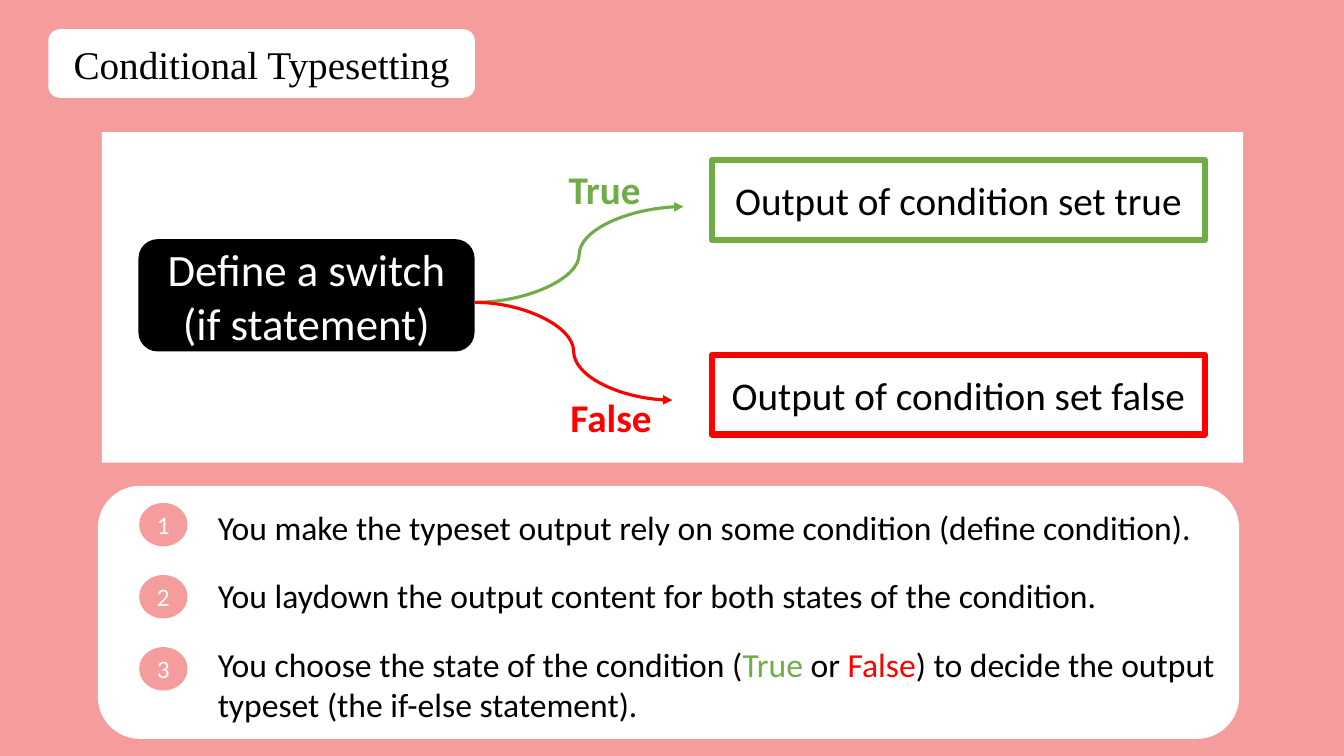
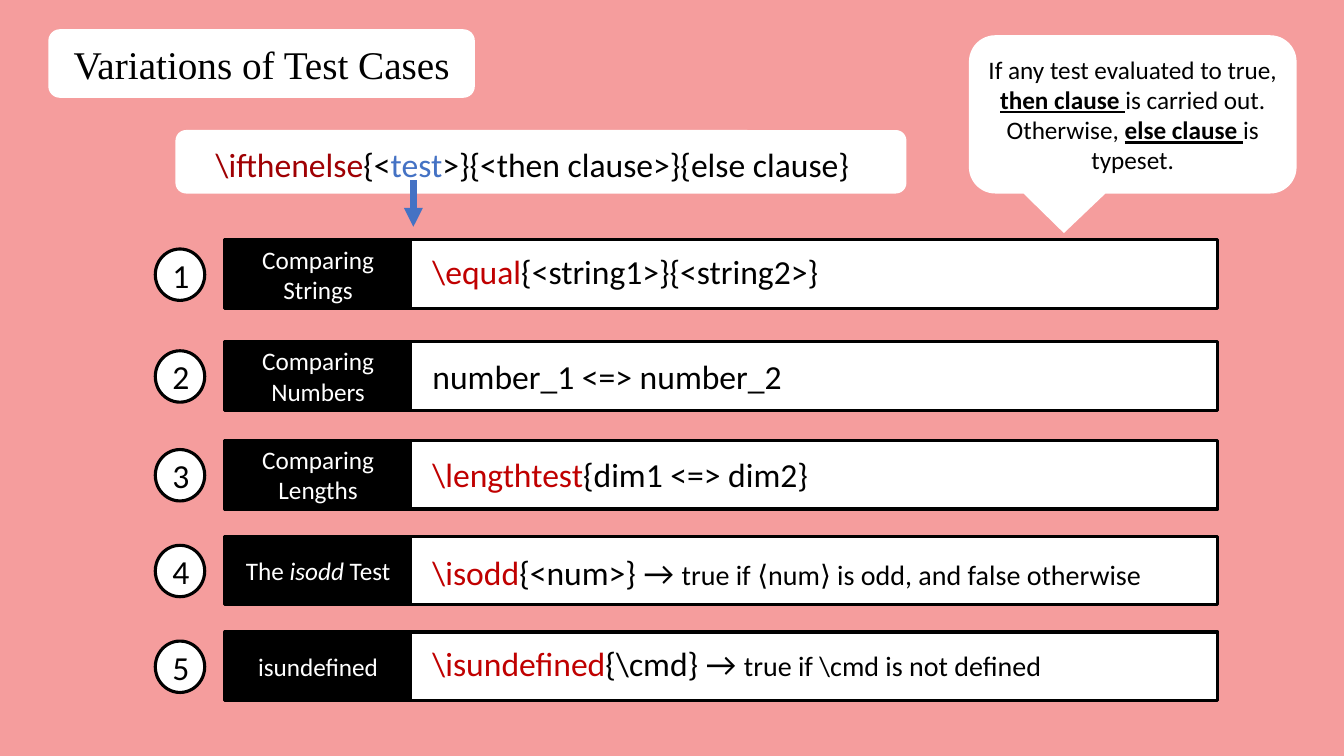
from lxml.etree import SubElement
from pptx import Presentation
from pptx.dml.color import RGBColor
from pptx.enum.shapes import MSO_CONNECTOR, MSO_SHAPE
from pptx.enum.text import MSO_ANCHOR, MSO_AUTO_SIZE, PP_ALIGN
from pptx.oxml.ns import qn
from pptx.util import Inches, Pt

PINK = RGBColor(0xF5, 0x9D, 0x9D)
WHITE = RGBColor(0xFF, 0xFF, 0xFF)
BLACK = RGBColor(0x00, 0x00, 0x00)
GREEN = RGBColor(0x70, 0xAD, 0x47)
RED = RGBColor(0xFF, 0x00, 0x00)
BLUE = RGBColor(0x44, 0x72, 0xC4)
MAROON = RGBColor(0x9F, 0x00, 0x03)
CRIMSON = RGBColor(0xC0, 0x00, 0x00)

TITLE_AREA = (0.48, 0.29, 4.23, 0.68)
TITLE_LOOK = {"name": "Times New Roman", "size": Pt(28), "color": BLACK}
BODY_LOOK = {"name": "Calibri", "size": Pt(24), "color": BLACK}
BRANCH_LOOK = {**BODY_LOOK, "size": Pt(28)}
SWITCH_LOOK = {**BODY_LOOK, "size": Pt(32), "color": WHITE}
NOTE_LOOK = {**BODY_LOOK, "size": Pt(18)}
LABEL_LOOK = {**NOTE_LOOK, "color": WHITE}
COMMAND = {"color": CRIMSON}
REMARK = {"size": Pt(20)}
CLAUSE = {"bold": True, "underline": True}

STEPS = [
    [("You make the typeset output rely on some condition (define condition).", {})],
    [("You laydown the output content for both states of the condition.", {})],
    [
        ("You choose the state of the condition (", {}),
        ("True", {"color": GREEN}),
        (" or ", {}),
        ("False", {"color": RED}),
        (") to decide the output typeset (the if-else statement).", {}),
    ],
]

TESTS = [
    (2.38, 0.06, [("Comparing Strings", {})],
     [("\\equal", COMMAND), ("{<string1>}{<string2>}", {})]),
    (3.39, 0.09, [("Comparing Numbers", {})],
     [("number_1 <=> number_2", {})]),
    (4.37, 0.08, [("Comparing Lengths", {})],
     [("\\lengthtest", COMMAND), ("{dim1 <=> dim2}", {})]),
    (5.32, 0.11, [("The ", {}), ("isodd", {"italic": True}), (" Test", {})],
     [("\\isodd", COMMAND), ("{<num>} → ", {}),
      ("true if ⟨num⟩ is odd, and false otherwise", REMARK)]),
    (6.27, 0.06, [("isundefined", {})],
     [("\\isundefined", COMMAND), ("{\\cmd} → ", {}),
      ("true if \\cmd is not defined", REMARK)]),
]


def inches(*lengths):
    return [Inches(length) for length in lengths]


def write(paragraph, runs, look):
    for text, changes in runs:
        run = paragraph.add_run()
        run.text = text
        for key, value in {**look, **changes}.items():
            if key == "color":
                run.font.color.rgb = value
            else:
                setattr(run.font, key, value)


def place(placeholder, area):
    for side, length in zip(("left", "top", "width", "height"), inches(*area)):
        setattr(placeholder, side, length)
    placeholder.text_frame.auto_size = MSO_AUTO_SIZE.NONE


def add_panel(slide, kind, area, fill, line=None, weight=1, runs=(), look=BODY_LOOK):
    panel = slide.shapes.add_shape(kind, *inches(*area))
    panel.shadow.inherit = False
    panel.fill.solid()
    panel.fill.fore_color.rgb = fill
    if line is None:
        panel.line.fill.background()
    else:
        panel.line.color.rgb = line
        panel.line.width = Pt(weight)
    if runs:
        frame = panel.text_frame
        frame.word_wrap = True
        frame.vertical_anchor = MSO_ANCHOR.MIDDLE
        frame.paragraphs[0].alignment = PP_ALIGN.CENTER
        write(frame.paragraphs[0], runs, look)
    return panel


def add_text(slide, area, runs, look=BODY_LOOK):
    frame = slide.shapes.add_textbox(*inches(*area)).text_frame
    frame.word_wrap = True
    write(frame.paragraphs[0], runs, look)


def add_arrow(slide, kind, ends, color, weight):
    arrow = slide.shapes.add_connector(kind, *inches(*ends))
    arrow.line.color.rgb = color
    arrow.line.width = Pt(weight)
    SubElement(arrow.line._get_or_add_ln(), qn("a:tailEnd"), type="triangle")
    SubElement(arrow._element.spPr, qn("a:effectLst"))


def add_titled_slide(deck, layout_index, title):
    slide = deck.slides.add_slide(deck.slide_layouts[layout_index])
    add_panel(slide, MSO_SHAPE.ROUNDED_RECTANGLE, TITLE_AREA, WHITE)
    heading = slide.shapes.title
    slide.shapes._spTree.append(heading._element)
    place(heading, TITLE_AREA)
    heading.text_frame.vertical_anchor = MSO_ANCHOR.MIDDLE
    paragraph = heading.text_frame.paragraphs[0]
    paragraph.alignment = PP_ALIGN.CENTER
    write(paragraph, [(title, {})], TITLE_LOOK)
    return slide


def add_branch(slide, state, color, label_area, arrow_end, outcome_top):
    add_arrow(slide, MSO_CONNECTOR.CURVE, (4.71, 3, *arrow_end), color, 2.25)
    add_text(slide, label_area, [(state, {"color": color, "bold": True})], BRANCH_LOOK)
    add_panel(slide, MSO_SHAPE.RECTANGLE, (7.06, outcome_top, 4.89, 0.79), WHITE, color, 4.5,
              [(f"Output of condition set {state.lower()}", {})], BRANCH_LOOK)


def add_steps(slide):
    add_panel(slide, MSO_SHAPE.ROUNDED_RECTANGLE, (0.97, 4.82, 11.32, 2.51), WHITE)
    body = slide.placeholders[1]
    slide.shapes._spTree.append(body._element)
    place(body, (2.06, 4.98, 10.23, 2.28))
    frame = body.text_frame
    for index, runs in enumerate(STEPS):
        add_panel(slide, MSO_SHAPE.OVAL, (1.38, 4.99 + 0.715 * index, 0.48, 0.43), PINK,
                  runs=[(str(index + 1), {})], look=LABEL_LOOK)
        paragraph = frame.add_paragraph() if index else frame.paragraphs[0]
        properties = paragraph._p.get_or_add_pPr()
        properties.set("marL", "0")
        properties.set("indent", "0")
        SubElement(properties, qn("a:buNone"))
        paragraph.space_before = Pt(20 if index else 0)
        write(paragraph, runs, BODY_LOOK)


def add_test(slide, number, top, drop, label, syntax):
    add_panel(slide, MSO_SHAPE.OVAL, (1.54, top + 0.09, 0.49, 0.51), WHITE, BLACK, 2.25,
              [(str(number), {})])
    add_panel(slide, MSO_SHAPE.RECTANGLE, (2.23, top, 9.85, 0.68), WHITE, BLACK, 2.25)
    add_panel(slide, MSO_SHAPE.RECTANGLE, (2.23, top, 1.85, 0.68), BLACK, BLACK, 1,
              label, LABEL_LOOK)
    add_text(slide, (4.19, top + drop, 7.75, 0.5), syntax)


def build_conditional(deck):
    slide = add_titled_slide(deck, 1, "Conditional Typesetting")
    add_panel(slide, MSO_SHAPE.RECTANGLE, (1.01, 1.31, 11.32, 3.28), WHITE)
    add_panel(slide, MSO_SHAPE.ROUNDED_RECTANGLE, (1.38, 2.38, 3.32, 1.1), BLACK, BLACK, 1,
              [("Define a switch (if statement)", {})], SWITCH_LOOK)
    add_branch(slide, "True", GREEN, (5.54, 1.59, 1.25, 0.57), (6.78, 2.05), 1.59)
    add_branch(slide, "False", RED, (5.56, 3.85, 1.25, 0.57), (6.67, 3.97), 3.52)
    add_steps(slide)


def build_variations(deck):
    slide = add_titled_slide(deck, 5, "Variations of Test Cases")
    add_panel(slide, MSO_SHAPE.ROUNDED_RECTANGLE, (1.74, 1.29, 7.25, 0.63), WHITE)
    add_text(slide, (2.04, 1.38, 6.72, 0.5), [
        ("\\ifthenelse", {"color": MAROON}),
        ("{<", {}),
        ("test", {"color": BLUE}),
        (">}{<then clause>}{else clause}", {}),
    ])
    add_arrow(slide, MSO_CONNECTOR.STRAIGHT, (4.1, 1.79, 4.1, 2.25), BLUE, 4.5)
    callout = add_panel(slide, MSO_SHAPE.ROUNDED_RECTANGULAR_CALLOUT, (9.61, 0.35, 3.25, 1.57),
                        WHITE, look=NOTE_LOOK, runs=[
                            ("If any test evaluated to true, ", {}),
                            ("then clause ", CLAUSE),
                            ("is carried out. Otherwise, ", {}),
                            ("else clause ", CLAUSE),
                            ("is typeset.", {}),
                        ])
    callout.adjustments[0] = -0.21
    callout.adjustments[1] = 0.75
    for number, test in enumerate(TESTS, 1):
        add_test(slide, number, *test)


def main():
    deck = Presentation()
    deck.slide_width, deck.slide_height = inches(13.33, 7.5)
    backdrop = deck.slide_master.background.fill
    backdrop.solid()
    backdrop.fore_color.rgb = PINK
    build_conditional(deck)
    build_variations(deck)
    deck.save("out.pptx")


if __name__ == "__main__":
    main()
